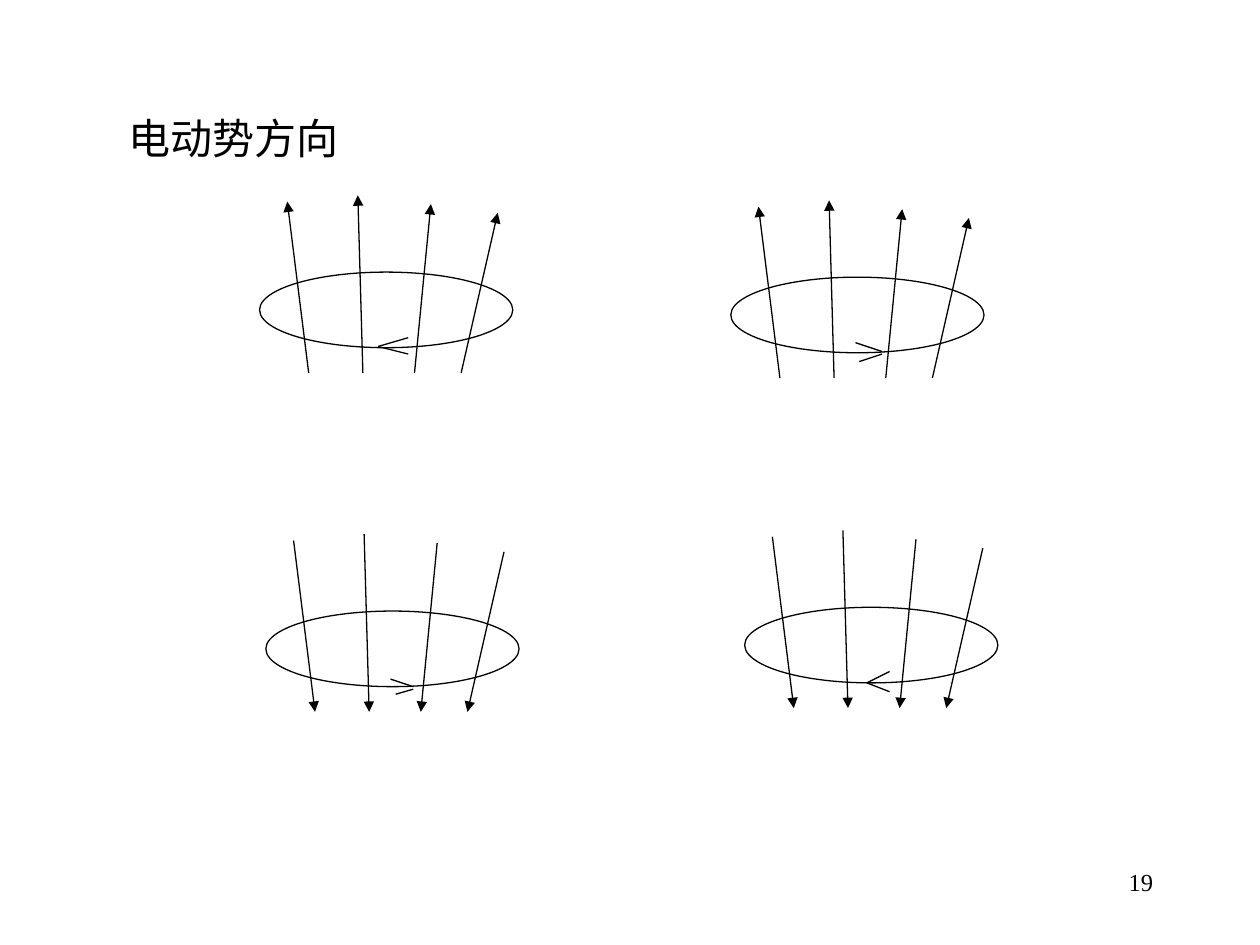
from lxml.etree import SubElement
from pptx import Presentation
from pptx.dml.color import RGBColor
from pptx.enum.shapes import MSO_CONNECTOR, MSO_SHAPE
from pptx.enum.text import MSO_ANCHOR, MSO_AUTO_SIZE, PP_ALIGN
from pptx.oxml.ns import qn
from pptx.util import Inches, Pt

COLORS = {"ink": "000000", "paper": "FFFFFF"}
TITLE_FONT = "Noto Sans CJK SC"
NUMBER_FONT = "Times New Roman"
LOOP_WIDTH, LOOP_HEIGHT = 2.01, 0.6
FIELD_LINES = [
    ((0.39, 0.8), (0.22, -0.56)),
    ((0.82, 0.8), (0.78, -0.61)),
    ((1.23, 0.8), (1.36, -0.54)),
    ((1.6, 0.8), (1.89, -0.47)),
]
LOOPS = [
    (2.06, 2.16, "tailEnd", [((1.18, 0.52), (0.94, 0.59)), ((0.94, 0.59), (1.18, 0.65))]),
    (5.8, 2.2, "tailEnd", [((0.99, 0.52), (1.2, 0.59)), ((1.02, 0.67), (1.2, 0.61))]),
    (2.11, 4.85, "headEnd", [((0.99, 0.54), (1.17, 0.6)), ((1.03, 0.66), (1.17, 0.62))]),
    (5.91, 4.82, "headEnd", [((1.15, 0.51), (0.97, 0.6)), ((0.97, 0.6), (1.15, 0.67))]),
]


def color(key):
    """Return the named palette colour."""
    return RGBColor.from_string(COLORS[key])


def style_outline(line):
    """Give an outline the thin ink stroke."""
    line.color.rgb = color("ink")
    line.width = Pt(0.75)


def add_stroke(group, left, top, start, end, arrow_end=None):
    """Draw a line between two offsets from the loop's corner."""
    stroke = group.shapes.add_connector(
        MSO_CONNECTOR.STRAIGHT,
        Inches(left + start[0]), Inches(top + start[1]),
        Inches(left + end[0]), Inches(top + end[1]),
    )
    style_outline(stroke.line)
    if arrow_end:
        SubElement(stroke.line._get_or_add_ln(), qn(f"a:{arrow_end}"), type="triangle")
    SubElement(stroke._element.spPr, qn("a:effectLst"))


def add_loop(slide, left, top, field_arrow_end, current_strokes):
    """Draw a conducting loop, its field lines and its current direction."""
    group = slide.shapes.add_group_shape()
    loop = group.shapes.add_shape(
        MSO_SHAPE.OVAL, Inches(left), Inches(top), Inches(LOOP_WIDTH), Inches(LOOP_HEIGHT)
    )
    loop.shadow.inherit = False
    loop.fill.solid()
    loop.fill.fore_color.rgb = color("paper")
    style_outline(loop.line)
    for start, end in FIELD_LINES:
        add_stroke(group, left, top, start, end, field_arrow_end)
    for start, end in current_strokes:
        add_stroke(group, left, top, start, end)


def write_text(frame, text, font_name, size, alignment):
    """Write one formatted paragraph at the top of a text frame."""
    frame.text = text
    frame.vertical_anchor = MSO_ANCHOR.TOP
    paragraph = frame.paragraphs[0]
    paragraph.alignment = alignment
    font = paragraph.runs[0].font
    font.size = Pt(size)
    font.color.rgb = color("ink")
    font.name = font_name
    SubElement(font._element, qn("a:ea"), typeface=font_name)


def place_title(slide, left, top, width, height):
    """Place the heading in the title placeholder."""
    title = slide.shapes.title
    title.left, title.top = Inches(left), Inches(top)
    title.width, title.height = Inches(width), Inches(height)
    write_text(title.text_frame, "电动势方向", TITLE_FONT, 24, PP_ALIGN.CENTER)
    title.text_frame.word_wrap = False
    title.text_frame.auto_size = MSO_AUTO_SIZE.SHAPE_TO_FIT_TEXT


def add_page_number(slide, left, top, width, height):
    """Add the page number at the lower right."""
    number = slide.shapes.add_textbox(Inches(left), Inches(top), Inches(width), Inches(height))
    number.text_frame.word_wrap = True
    write_text(number.text_frame, "19", NUMBER_FONT, 14, PP_ALIGN.RIGHT)


def main():
    """Build and save the slide."""
    presentation = Presentation()
    presentation.slide_width, presentation.slide_height = Inches(10), Inches(7.5)
    slide = presentation.slides.add_slide(presentation.slide_layouts.get_by_name("Title Only"))
    add_page_number(slide, 7.17, 6.83, 2.08, 0.5)
    place_title(slide, 0.91, 0.84, 1.88, 0.5)
    for left, top, field_arrow_end, current_strokes in LOOPS:
        add_loop(slide, left, top, field_arrow_end, current_strokes)
    presentation.save("out.pptx")


if __name__ == "__main__":
    main()
